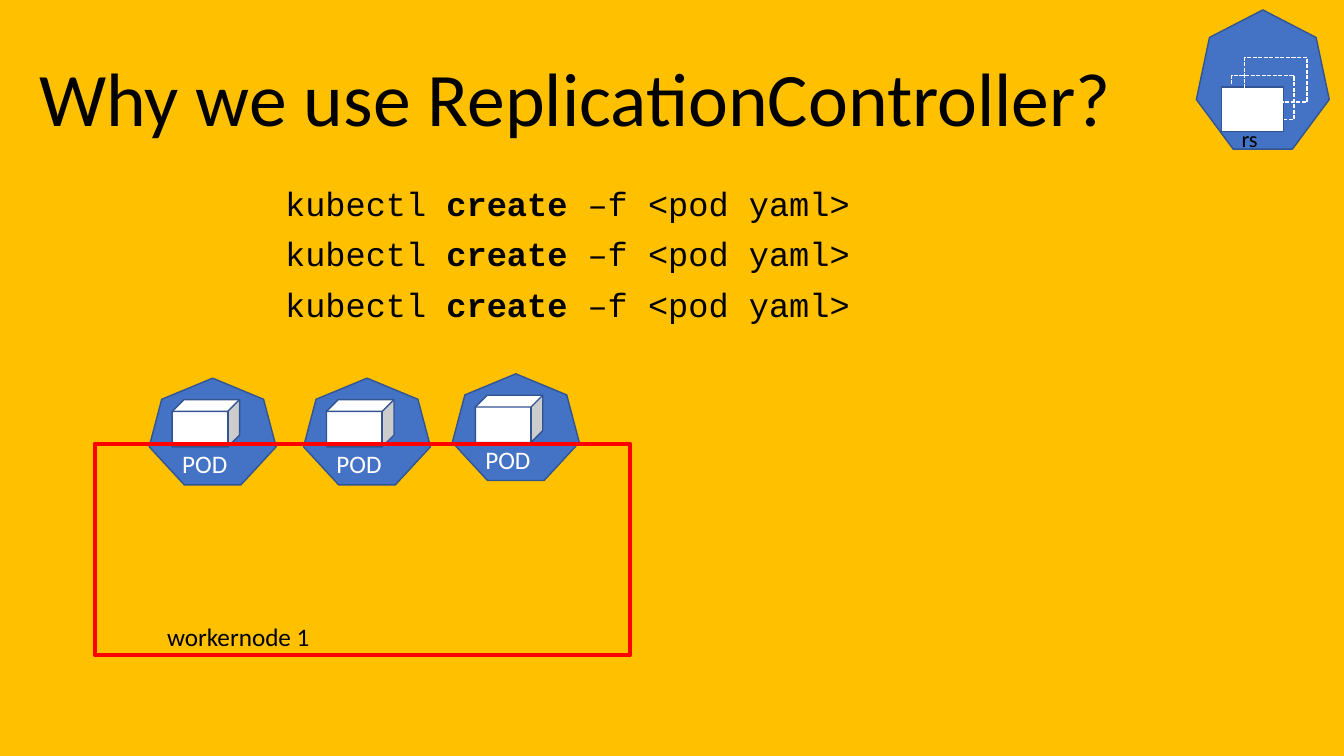
from pptx import Presentation
from pptx.dml.color import RGBColor
from pptx.enum.dml import MSO_LINE as Dash
from pptx.enum.shapes import MSO_SHAPE as Shape
from pptx.enum.text import MSO_ANCHOR as Anchor, PP_ALIGN as Align
from pptx.util import Cm, Pt

COLORS = {
    "amber": "FFC000",
    "blue": "4472C4",
    "navy": "325491",
    "white": "FFFFFF",
    "black": "000000",
    "red": "FF0000",
}
PODS = [(3.76, 9.53), (7.65, 9.53), (11.4, 9.42)]
COMMAND = [("kubectl ", False), ("create", True), (" –f <pod yaml>", False)]


def color(name):
    return RGBColor.from_string(COLORS[name])


def add_shape(slide, kind, box, fill=None, line="navy", width=1, dash=None):
    shape = slide.shapes.add_shape(kind, *map(Cm, box))
    shape.shadow.inherit = False
    if fill:
        shape.fill.solid()
        shape.fill.fore_color.rgb = color(fill)
    else:
        shape.fill.background()
    shape.line.color.rgb = color(line)
    shape.line.width = Pt(width)
    if dash:
        shape.line.dash_style = dash
    return shape


def add_text(slide, lines, box, size=18, font="Calibri", ink="black",
             align=Align.LEFT, anchor=Anchor.TOP, spacing=1, gap=0):
    """Write lines, each a list of (text, bold) runs, into a text box."""
    frame = slide.shapes.add_textbox(*map(Cm, box)).text_frame
    frame.word_wrap = True
    frame.vertical_anchor = anchor
    for i, runs in enumerate(lines):
        para = frame.add_paragraph() if i else frame.paragraphs[0]
        para.alignment = align
        para.line_spacing = spacing
        para.space_before = Pt(gap if i else 0)
        for text, bold in runs:
            run = para.add_run()
            run.text = text
            run.font.name = font
            run.font.size = Pt(size)
            run.font.bold = bold
            run.font.color.rgb = color(ink)


def add_pod(slide, left, top):
    add_shape(slide, Shape.HEPTAGON, (left, top, 3.2, 2.69), "blue")
    add_shape(slide, Shape.CUBE, (left + 0.58, top + 0.54, 1.7, 1.19), "white")
    add_text(slide, [[("POD", False)]], (left + 0.58, top + 1.65, 1.7, 1.02),
             ink="white")


def add_badge(slide):
    """Draw the replica set icon in the top right corner."""
    size = (1.57, 1.12)
    outline = {"line": "white", "dash": Dash.SQUARE_DOT}
    add_shape(slide, Shape.HEPTAGON, (30.15, 0.25, 3.35, 3.51), "blue")
    add_shape(slide, Shape.RECTANGLE, (31.04, 1.9, *size), **outline)
    add_shape(slide, Shape.RECTANGLE, (30.78, 2.19, *size), "white")
    add_shape(slide, Shape.RECTANGLE, (31.37, 1.45, *size), **outline)
    add_text(slide, [[("rs", False)]], (31.04, 3.02, 1.57, 0.94), size=16)


def main():
    deck = Presentation()
    deck.slide_width, deck.slide_height = Cm(33.87), Cm(19.05)
    slide = deck.slides.add_slide(deck.slide_layouts[6])
    slide.background.fill.solid()
    slide.background.fill.fore_color.rgb = color("amber")

    add_badge(slide)
    add_text(slide, [[("Why we use ReplicationController?", False)]],
             (0, 0.23, 29, 3.5), size=54, align=Align.CENTER,
             anchor=Anchor.BOTTOM, spacing=0.9)
    add_text(slide, [COMMAND] * 3, (1.6, 4.6, 25.4, 4.6), size=24,
             font="Courier New", align=Align.CENTER, spacing=0.9, gap=10)
    for left, top in PODS:
        add_pod(slide, left, top)
    add_shape(slide, Shape.RECTANGLE, (2.39, 11.18, 13.49, 5.33),
              line="red", width=3)
    add_text(slide, [[("workernode 1", False)]], (3.96, 15.54, 4.27, 1.02))
    deck.save("out.pptx")


if __name__ == "__main__":
    main()
